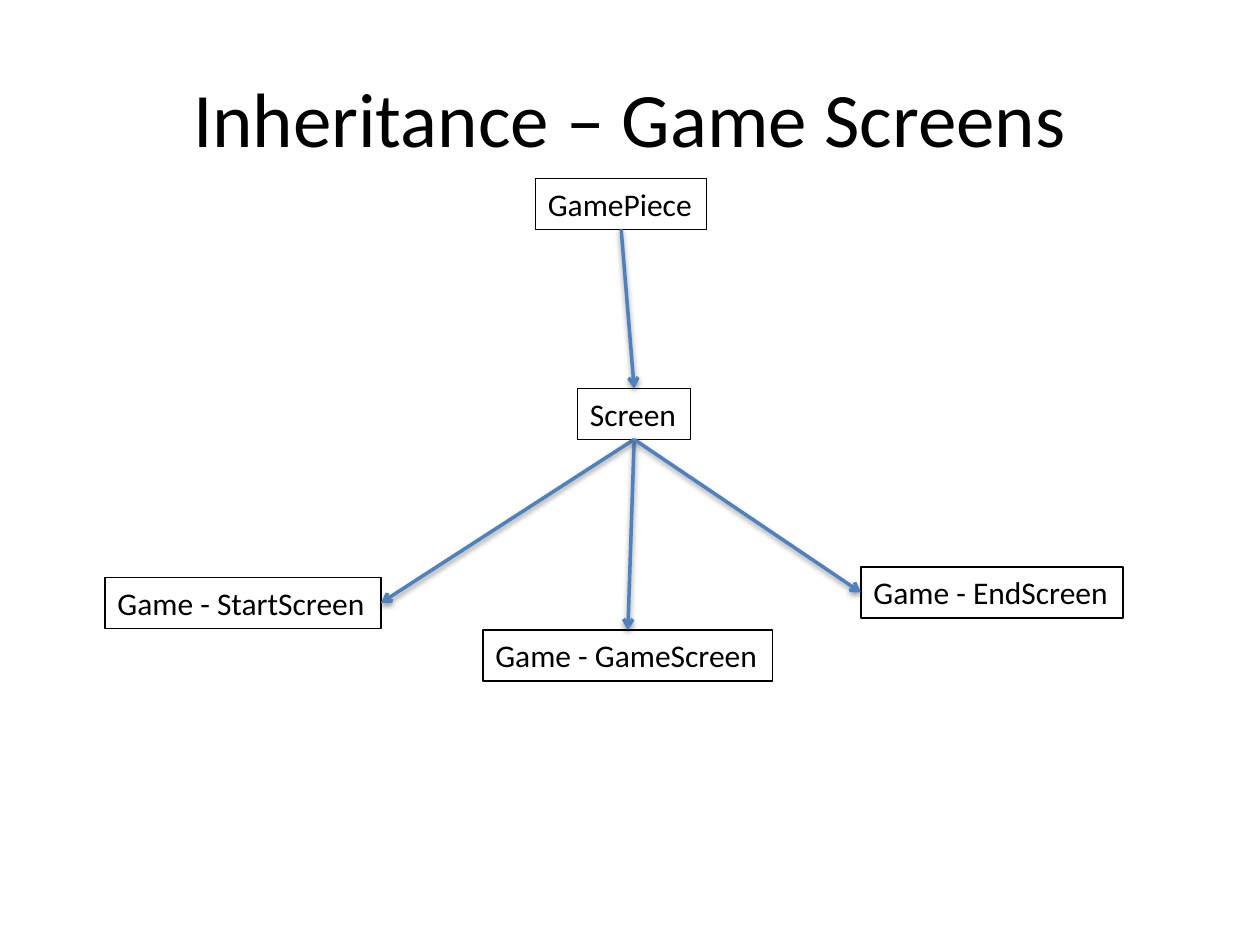
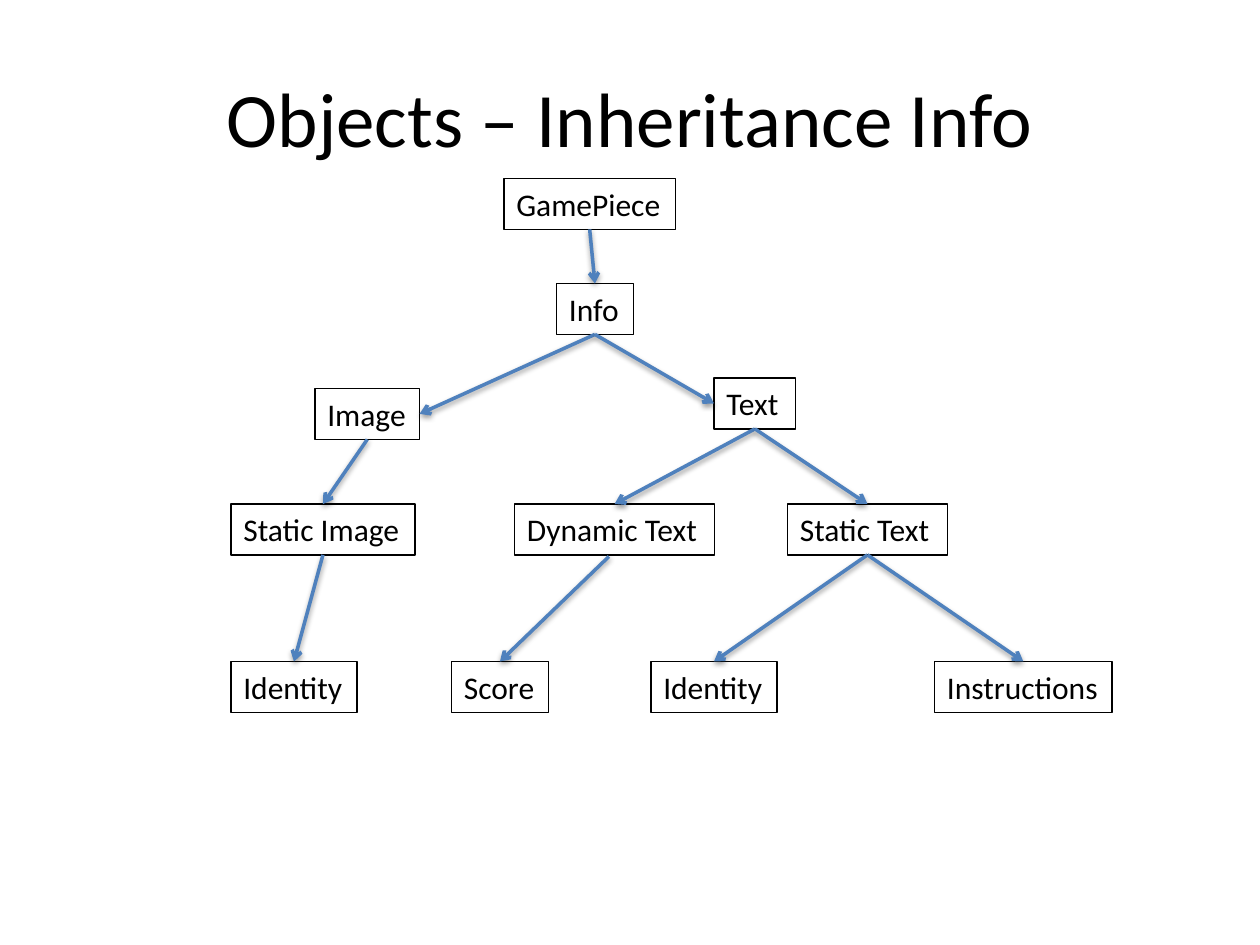
from lxml import etree
from pptx import Presentation
from pptx.dml.color import RGBColor
from pptx.enum.shapes import MSO_CONNECTOR
from pptx.enum.text import MSO_ANCHOR, MSO_AUTO_SIZE, PP_ALIGN
from pptx.oxml import parse_xml
from pptx.oxml.ns import qn
from pptx.util import Inches, Pt

STRAIGHT = MSO_CONNECTOR.STRAIGHT
MIDDLE = MSO_ANCHOR.MIDDLE
CENTER = PP_ALIGN.CENTER
GROW = MSO_AUTO_SIZE.SHAPE_TO_FIT_TEXT

FONT = "Calibri"
INK = "000000"
ARROW = "4F81BD"
COLS, ROWS = 120, 90
CELL = Inches(10) / COLS
NODE_ROWS = 4.85
TITLE_BOX = (6, 3.6, 108, 15)
TREE_BOX = (0, 17, COLS, 73)
TOP, LEFT, BOTTOM, RIGHT = range(4)

SHADOW = (
    '<a:effectLst xmlns:a="http://schemas.openxmlformats.org/drawingml/2006/main">'
    '<a:outerShdw blurRad="40000" dist="20000" dir="5400000" rotWithShape="0">'
    '<a:srgbClr val="000000"><a:alpha val="38000"/></a:srgbClr>'
    '</a:outerShdw></a:effectLst>'
)

# text, column, row, width, parent index, side the arrow enters, loose arrow start
SCREENS = [
    ("GamePiece", 51, 0, 16.32, None, TOP, None),
    ("Screen", 55, 20, 10.8, 0, TOP, None),
    ("Game - StartScreen", 10, 38, 26.28, 1, RIGHT, None),
    ("Game - GameScreen", 46, 43, 27.6, 1, TOP, None),
    ("Game - EndScreen", 82, 37, 24.96, 1, LEFT, None),
]
INFO = [
    ("GamePiece", 48, 0, 16.32, None, TOP, None),
    ("Info", 53, 10, 7.32, 0, TOP, None),
    ("Image", 30, 20, 9.96, 1, RIGHT, None),
    ("Text", 68, 19, 7.8, 1, LEFT, None),
    ("Static Image", 22, 31, 17.52, 2, TOP, None),
    ("Dynamic Text", 49, 31, 19.08, 3, TOP, None),
    ("Static Text", 75, 31, 15.24, 3, TOP, None),
    ("Identity", 22, 46, 12, 4, TOP, None),
    ("Score", 43, 46, 9.24, 5, TOP, (58, 36)),
    ("Identity", 62, 46, 12, 6, TOP, None),
    ("Instructions", 89, 46, 16.92, 6, TOP, None),
]


def cells(n):
    return round(n * CELL)


def rgb(value):
    return RGBColor.from_string(value)


def text_box(s, box, text, size):
    sp = s.shapes.add_textbox(*map(cells, box))
    tf = sp.text_frame
    tf.text = text
    font = tf.paragraphs[0].runs[0].font
    font.name, font.size = FONT, Pt(size)
    font.color.rgb = rgb(INK)
    return sp


def title(s, box, text):
    tf = text_box(s, box, text, 44).text_frame
    tf.word_wrap = True
    tf.vertical_anchor = MIDDLE
    tf.paragraphs[0].alignment = CENTER


def node(s, box, text):
    sp = text_box(s, box, text, 18)
    sp.text_frame.word_wrap = False
    sp.text_frame.auto_size = GROW
    sp.line.color.rgb = rgb(INK)
    sp.line.width = Pt(0.75)
    return sp


def arrow(s, parent, child, side, start):
    line = s.shapes.add_connector(STRAIGHT, 0, 0, 0, 0)
    if start:
        line.begin_x, line.begin_y = map(cells, start)
    else:
        line.begin_connect(parent, BOTTOM)
    line.end_connect(child, side)
    line.line.color.rgb = rgb(ARROW)
    line.line.width = Pt(2)
    etree.SubElement(line.line._get_or_add_ln(), qn("a:tailEnd"), type="arrow")
    line._element.spPr.append(parse_xml(SHADOW))


def tree(s, box, entries):
    left, top, _, _ = box
    nodes = [node(s, (left + col, top + row, width, NODE_ROWS), text)
             for text, col, row, width, *_ in entries]
    for child, (*_, parent, side, start) in zip(nodes, entries):
        if parent is not None:
            point = start and (left + start[0], top + start[1])
            arrow(s, nodes[parent], child, side, point)


def tree_slide(prs, heading, entries):
    s = prs.slides.add_slide(prs.slide_layouts[6])
    title(s, TITLE_BOX, heading)
    tree(s, TREE_BOX, entries)


def main():
    prs = Presentation()
    prs.slide_width, prs.slide_height = cells(COLS), cells(ROWS)
    tree_slide(prs, "Inheritance – Game Screens", SCREENS)
    tree_slide(prs, "Objects – Inheritance Info", INFO)
    prs.save("out.pptx")


if __name__ == "__main__":
    main()
